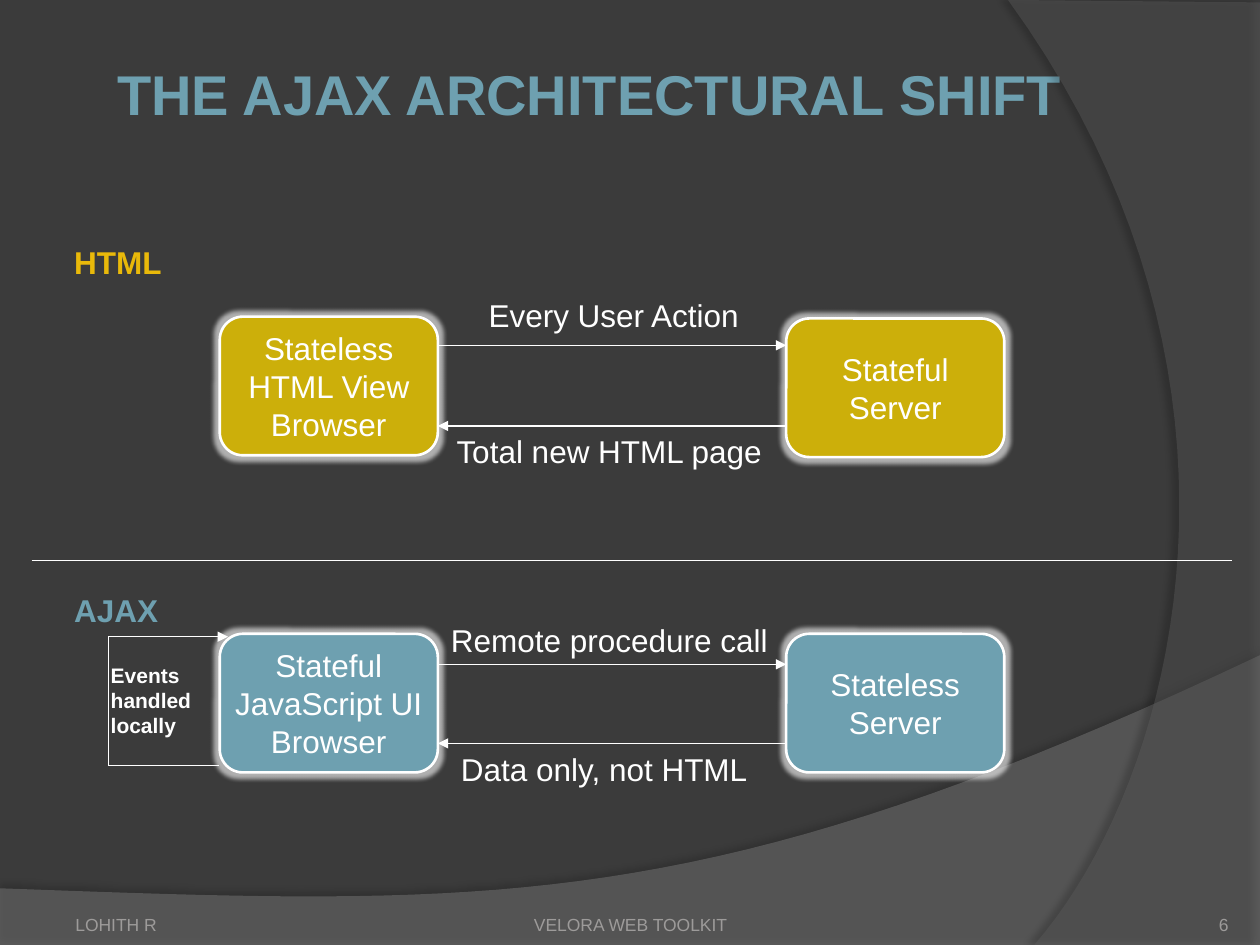
from lxml.etree import SubElement
from pptx import Presentation
from pptx.dml.color import RGBColor
from pptx.enum.shapes import MSO_CONNECTOR, MSO_SHAPE
from pptx.enum.text import MSO_ANCHOR, MSO_AUTO_SIZE, PP_ALIGN
from pptx.oxml.ns import qn
from pptx.util import Pt

THEME = {
    "font": "Arial", "back": "3B3B3B", "white": "FFFFFF", "grey": "9D9B9A",
    "gold": "CCAF0A", "amber": "E9B90A", "blue": "6EA0B0",
    "title": 32, "body": 18, "note": 12, "foot": 10,
}
LEFT, MID, RIGHT = PP_ALIGN.LEFT, PP_ALIGN.CENTER, PP_ALIGN.RIGHT

TITLE = "THE AJAX ARCHITECTURAL SHIFT"
# start, then lines (one point) and curves (three points); fill, alpha; shadow alpha, distance, angle
WAVES = [
    ([(0, 507.6), [(0, 540.7)], [(720, 540.7)], [(720, 374.4)],
      [(402.5, 524.9), (281.5, 517.7), (0, 507.6)]], "7F7F7F", 45, (35, 3.5, 270)),
    ([(720, 1.4), [(720, 540)], [(591, 540)],
      [(673, 445.7), (733, 216), (576, 0)]], "5E5E5E", 40, (45, 4, 180)),
]
# text, left, top, width, height, align, side insets
FEET = [
    ("LOHITH R", 36, 505.4, 167.8, 28.8, LEFT, 7.2),
    ("VELORA WEB TOOLKIT", 246.2, 505.4, 228.2, 28.8, MID, 0),
    ("6", 642.2, 505.4, 59.8, 28.8, RIGHT, 0),
]
BOX_W, BOX_H = 124.6, 79.2
CLIENT, SERVER = 125.6, 449.3
# fill, lines of text, left, top
BOXES = [
    ("gold", ["Stateless", "HTML View", "Browser"], CLIENT, 181),
    ("gold", ["Stateful", "Server"], SERVER, 182),
    ("blue", ["Stateful", "JavaScript UI", "Browser"], CLIENT, 362.2),
    ("blue", ["Stateless", "Server"], SERVER, 362.2),
]
# heights of request and reply arrows
CALLS = [(197.3, 243.4), (379.6, 424.8)]
LOOP = [(125, 437.6), (62, 437.6), (62, 363.8), (130.3, 363.8)]
# text, left, top, width, align, wrap, colour
LABELS = [
    ("Every User Action", 257.8, 165.6, 185.8, MID, True, "white"),
    ("Total new HTML page", 246.2, 243.4, 203.8, MID, True, "white"),
    ("Remote procedure call", 250.6, 351.4, 195.8, LEFT, False, "white"),
    ("Data only, not HTML", 256.3, 424.8, 181.4, LEFT, True, "white"),
]
HEADS = [
    ("AJAX", 35.3, 334.1, 63.4, LEFT, False, "blue"),
    ("HTML", 35.3, 135.4, 64.8, LEFT, False, "amber"),
]


def color(name):
    return RGBColor.from_string(THEME.get(name, name))


def add_alpha(node, pct):
    SubElement(node, qn("a:alpha"), val=str(pct * 1000))


def add_effect(shape, kind, tone, alpha, **attrs):
    """Give the shape one glow or shadow effect."""
    shape.shadow.inherit = False
    group = shape._element.spPr.find(qn("a:effectLst"))
    effect = SubElement(group, qn("a:" + kind), **attrs)
    add_alpha(SubElement(effect, qn("a:srgbClr"), val=tone), alpha)


def write(frame, lines, size, tone, align=LEFT, bold=False):
    frame.text = "\n".join(lines)
    for para in frame.paragraphs:
        para.alignment = align
        font = para.font
        font.name, font.size, font.bold = THEME["font"], Pt(THEME[size]), bold
        font.color.rgb = color(tone)


def add_text(text, left, top, width, height, size, tone, align, wrap=True, bold=False):
    box = slide.shapes.add_textbox(Pt(left), Pt(top), Pt(width), Pt(height))
    box.text_frame.word_wrap = wrap
    write(box.text_frame, [text], size, tone, align, bold)
    return box.text_frame


def add_line(start, end, arrow=False):
    line = slide.shapes.add_connector(MSO_CONNECTOR.STRAIGHT, *map(Pt, start + end))
    line.line.color.rgb = color("white")
    line.line.width = Pt(0.75)
    if arrow:
        SubElement(line.line._get_or_add_ln(), qn("a:tailEnd"), type="triangle")
    SubElement(line._element.spPr, qn("a:effectLst"))


def trace(start, parts, steps=40):
    """Turn lines and cubic curves into a list of points."""
    spots = [start]
    for part in parts:
        if len(part) == 1:
            spots += part
            continue
        ends = [spots[-1]] + part
        for i in range(1, steps + 1):
            t = i / steps
            u = 1 - t
            mix = (u ** 3, 3 * u * u * t, 3 * u * t * t, t ** 3)
            spots.append(tuple(sum(m * p[k] for m, p in zip(mix, ends)) for k in (0, 1)))
    return [(Pt(x), Pt(y)) for x, y in spots]


def add_wave(route, tone, alpha, shade):
    spots = trace(route[0], route[1:])
    draft = slide.shapes.build_freeform(*spots[0])
    draft.add_line_segments(spots[1:], close=True)
    wave = draft.convert_to_shape()
    wave.fill.solid()
    wave.fill.fore_color.rgb = color(tone)
    add_alpha(wave._element.spPr.find(qn("a:solidFill"))[0], alpha)
    wave.line.fill.background()
    depth, dist, angle = shade
    add_effect(wave, "outerShdw", "000000", depth, blurRad=str(Pt(4)),
               dist=str(Pt(dist)), dir=str(angle * 60000), algn="ctr", rotWithShape="0")


def add_box(tone, lines, left, top):
    box = slide.shapes.add_shape(MSO_SHAPE.ROUNDED_RECTANGLE,
                                 Pt(left), Pt(top), Pt(BOX_W), Pt(BOX_H))
    box.fill.solid()
    box.fill.fore_color.rgb = color(tone)
    box.line.color.rgb = color("white")
    box.line.width = Pt(1.5)
    add_effect(box, "glow", THEME["white"], 60, rad=str(Pt(5)))
    box.text_frame.word_wrap = False
    box.text_frame.vertical_anchor = MSO_ANCHOR.MIDDLE
    write(box.text_frame, lines, "body", "white", MID)


deck = Presentation()
deck.slide_width, deck.slide_height = Pt(720), Pt(540)
slide = deck.slides.add_slide(deck.slide_layouts[5])
slide.background.fill.solid()
slide.background.fill.fore_color.rgb = color("back")

for wave in WAVES:
    add_wave(*wave)
for text, left, top, width, height, align, side in FEET:
    frame = add_text(text, left, top, width, height, "foot", "grey", align)
    frame.vertical_anchor = MSO_ANCHOR.BOTTOM
    frame.margin_left = frame.margin_right = Pt(side)
    frame.margin_bottom = 0
for box in BOXES:
    add_box(*box)
for ask, reply in CALLS:
    add_line((CLIENT + BOX_W, ask), (SERVER, ask), True)
    add_line((SERVER, reply), (CLIENT + BOX_W, reply), True)
for group, bold in ((LABELS, False), (HEADS, True)):
    for text, left, top, width, align, wrap, tone in group:
        add_text(text, left, top, width, 28.8, "body", tone, align, wrap, bold)
add_line((18, 320.4), (704.2, 320.4))
for start, end in zip(LOOP, LOOP[1:]):
    add_line(start, end, end == LOOP[-1])
add_text("Events handled locally", 56.2, 375.1, 62.6, 50.4, "note", "white", LEFT, bold=True)

title = slide.shapes.title
title.left, title.top, title.width, title.height = map(Pt, (59.8, 30.2, 624.2, 46.1))
title.text_frame.auto_size = MSO_AUTO_SIZE.NONE
write(title.text_frame, [TITLE], "title", "blue", LEFT, True)

deck.save("out.pptx")
